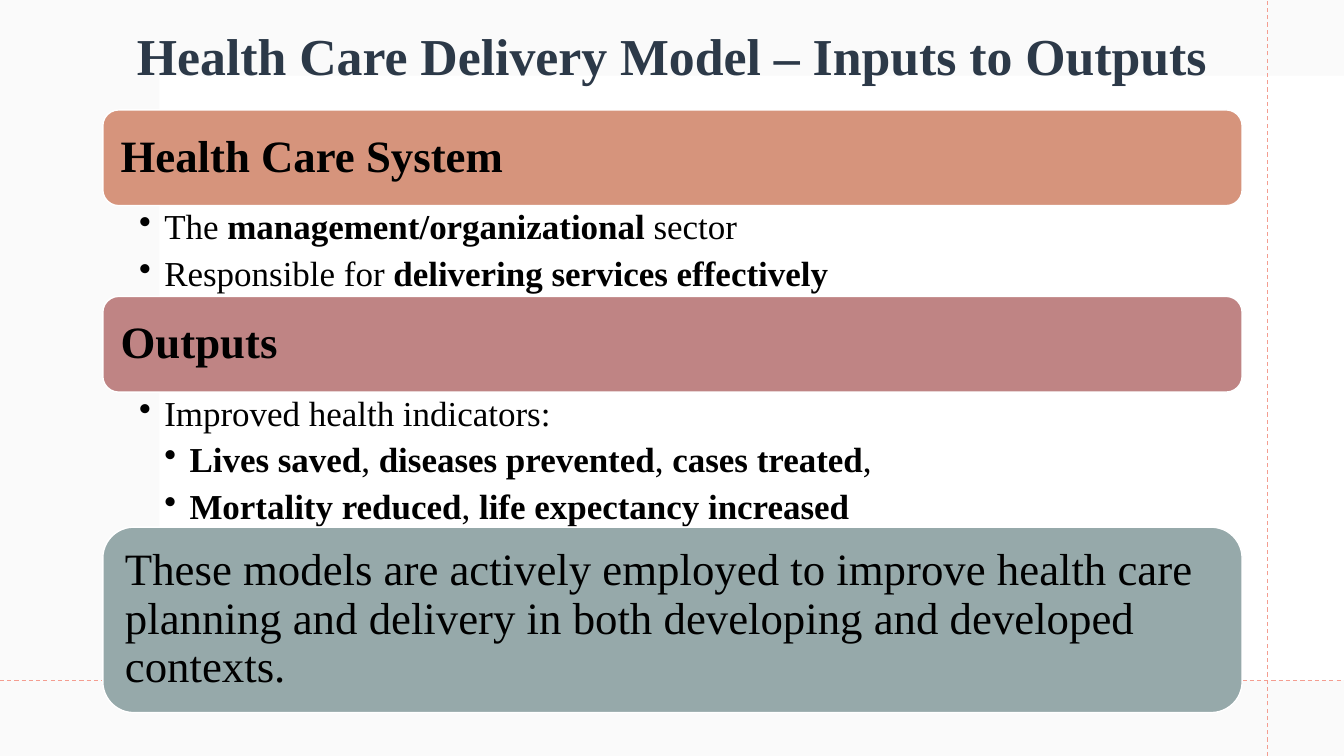
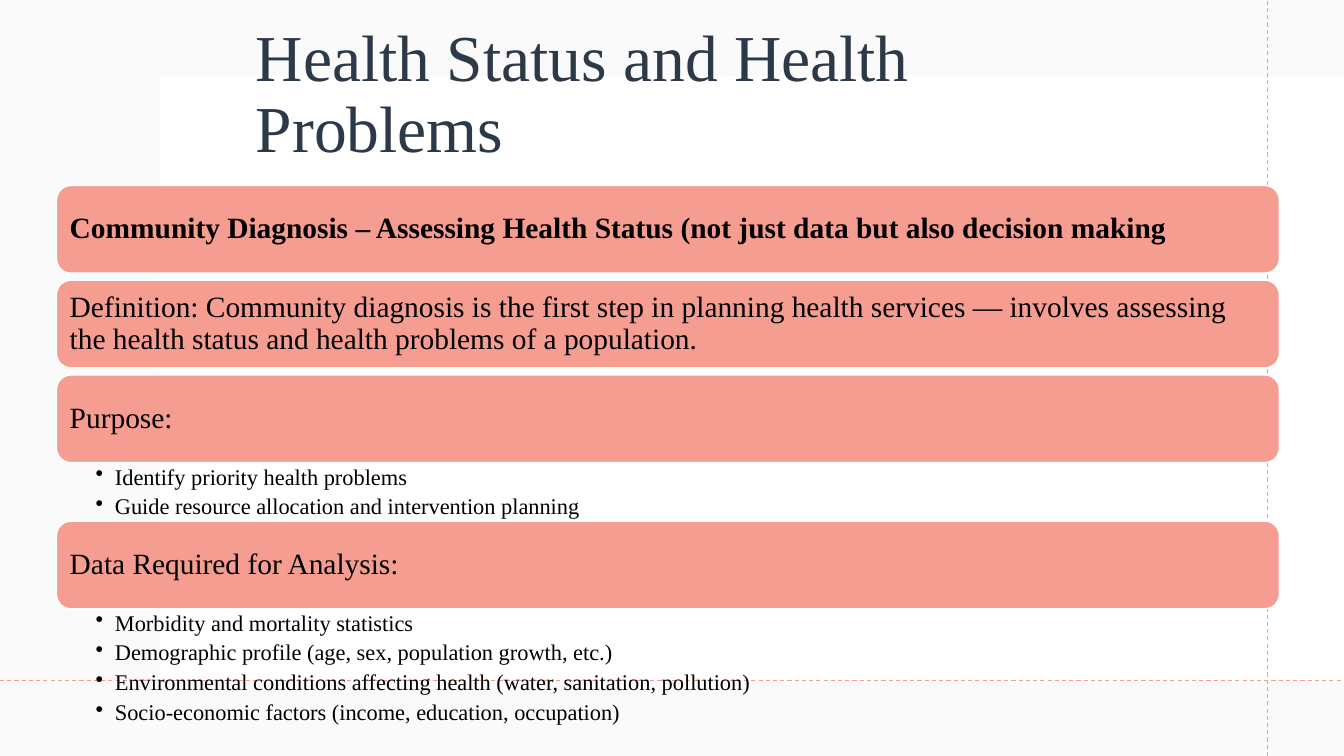
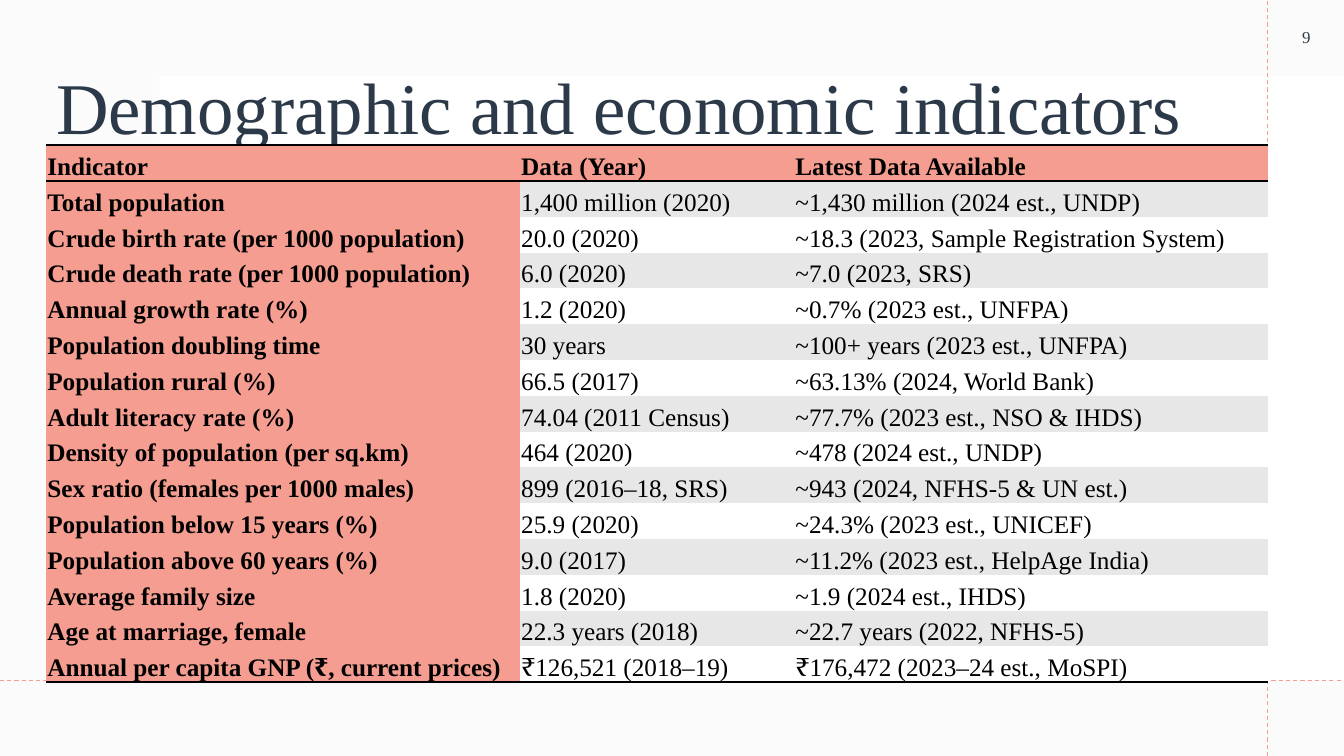
from dataclasses import dataclass
from typing import Optional

from lxml.etree import SubElement
from pptx import Presentation
from pptx.dml.color import RGBColor
from pptx.enum.dml import MSO_LINE
from pptx.enum.shapes import MSO_CONNECTOR, MSO_SHAPE
from pptx.enum.text import MSO_ANCHOR as Anchor, PP_ALIGN as Align
from pptx.oxml.ns import qn
from pptx.util import Inches, Pt

# Shared style
FONT = "Times New Roman"
COLORS = {
    "ink": "000000", "title": "2C3948", "paper": "FFFFFF", "veil": "F4F4F4",
    "coral": "F49D90", "clay": "D6947C", "rose": "BF8484", "sage": "96A9AA",
    "band": "E7E7E7",
}
WIDTH, HEIGHT = 13.33, 7.5
LINE_SPACING = 0.9
BULLET_GAP = 0.25  # share of the text size
NO_TABLE_STYLE = "{2D5ABB26-0587-4C30-8999-92F81FD0307C}"


@dataclass
class Box:
    left: float
    top: float
    width: float
    height: float

    def lengths(self) -> list:
        return [Inches(v) for v in (self.left, self.top, self.width, self.height)]


@dataclass
class Bullet:
    text: str  # *asterisks* enclose bold words
    level: int = 1


@dataclass
class Section:
    heading: str
    color: str
    height: float
    bullets: tuple = ()
    bullets_height: float = 0


@dataclass
class StackStyle:
    left: float
    top: float
    width: float
    gap: float
    heading_size: float
    heading_inset: float
    bullet_size: float
    bullet_insets: tuple
    bullet_indent: float


# Drawing helpers
def rgb(name: str) -> RGBColor:
    return RGBColor.from_string(COLORS[name])


def set_insets(frame, left: float, top: float, right: float, bottom: float) -> None:
    frame.margin_left, frame.margin_top = Inches(left), Inches(top)
    frame.margin_right, frame.margin_bottom = Inches(right), Inches(bottom)


def fill_paragraph(para, text: str, size: float, color: str = "ink") -> None:
    for index, part in enumerate(text.split("*")):
        if part:
            span = para.add_run()
            span.text = part
            span.font.name, span.font.size = FONT, Pt(size)
            span.font.bold = index % 2 == 1
            span.font.color.rgb = rgb(color)
    para.line_spacing = LINE_SPACING


def add_text(page, box: Box, text: str, size: float, align=Align.LEFT,
             anchor=Anchor.MIDDLE) -> None:
    frame = page.shapes.add_textbox(*box.lengths()).text_frame
    frame.word_wrap, frame.vertical_anchor = True, anchor
    para = frame.paragraphs[0]
    fill_paragraph(para, text, size, "title")
    para.alignment = align


def add_panel(page, box: Box, color: str, kind=MSO_SHAPE.RECTANGLE,
              opacity: Optional[int] = None):
    shape = page.shapes.add_shape(kind, *box.lengths())
    shape.shadow.inherit = False
    shape.fill.solid()
    shape.fill.fore_color.rgb = rgb(color)
    shape.line.fill.background()
    if opacity is not None:
        tint = shape._element.spPr.find(qn("a:solidFill"))[0]
        SubElement(tint, qn("a:alpha"), val=str(opacity * 1000))
    return shape


def add_guide(page, x1: float, y1: float, x2: float, y2: float) -> None:
    guide = page.shapes.add_connector(
        MSO_CONNECTOR.STRAIGHT, Inches(x1), Inches(y1), Inches(x2), Inches(y2))
    guide.line.color.rgb = rgb("coral")
    guide.line.width = Pt(0.75)
    guide.line.dash_style = MSO_LINE.DASH
    SubElement(guide._element.spPr, qn("a:effectLst"))


def new_page(deck, veil_opacity: int = 45):
    """Add a page with the shared backdrop and guide lines."""
    page = deck.slides.add_slide(deck.slide_layouts[6])
    add_panel(page, Box(0, 0, WIDTH, HEIGHT), "veil", opacity=veil_opacity)
    add_panel(page, Box(1.58, 0.75, 11.75, 6), "paper")
    add_guide(page, 12.57, HEIGHT, 12.57, 0)
    add_guide(page, 0, 6.75, WIDTH, 6.75)
    return page


def add_heading(page, box: Box, section: Section, style: StackStyle) -> None:
    card = add_panel(page, box, section.color, MSO_SHAPE.ROUNDED_RECTANGLE)
    card.line.color.rgb = rgb("paper")
    card.line.width = Pt(1)
    frame = card.text_frame
    frame.word_wrap, frame.vertical_anchor = True, Anchor.MIDDLE
    set_insets(frame, *[style.heading_inset] * 4)
    para = frame.paragraphs[0]
    fill_paragraph(para, section.heading, style.heading_size)
    para.alignment = Align.LEFT


def add_bullets(page, box: Box, bullets: tuple, style: StackStyle) -> None:
    frame = page.shapes.add_textbox(*box.lengths()).text_frame
    frame.word_wrap = True
    set_insets(frame, *style.bullet_insets)
    for index, bullet in enumerate(bullets):
        para = frame.add_paragraph() if index else frame.paragraphs[0]
        para.level = bullet.level
        props = para._p.get_or_add_pPr()
        props.set("marL", str(Inches(style.bullet_indent * bullet.level)))
        props.set("indent", str(-Inches(style.bullet_indent)))
        SubElement(props, qn("a:buChar"), char="•")
        fill_paragraph(para, bullet.text, style.bullet_size)
        para.space_after = Pt(style.bullet_size * BULLET_GAP)


def add_stack(page, sections: list, style: StackStyle) -> None:
    """Stack cards downwards, each followed by its bullets or by a gap."""
    top = style.top
    for section in sections:
        add_heading(page, Box(style.left, top, style.width, section.height), section, style)
        top += section.height
        if section.bullets:
            box = Box(style.left, top, style.width, section.bullets_height)
            add_bullets(page, box, section.bullets, style)
            top += section.bullets_height
        else:
            top += style.gap


def add_rule(cell, side: str) -> None:
    edge = SubElement(cell._tc.get_or_add_tcPr(), qn(f"a:{side}"), w=str(Pt(2)))
    fill = SubElement(edge, qn("a:solidFill"))
    SubElement(fill, qn("a:srgbClr"), val=COLORS["ink"])


def add_data_table(page, box: Box, widths: tuple, rows: list) -> None:
    table = page.shapes.add_table(len(rows), len(widths), *box.lengths()).table
    table._tbl.tblPr.find(qn("a:tableStyleId")).text = NO_TABLE_STYLE
    table.first_row = table.horz_banding = False
    for column, width in zip(table.columns, widths):
        column.width = Inches(width)
    for r, row in enumerate(rows):
        for c, text in enumerate(row):
            cell = table.cell(r, c)
            is_header = r == 0 or c == 0
            if r == 0:
                add_rule(cell, "lnT")
            if r in (0, len(rows) - 1):
                add_rule(cell, "lnB")
            cell.fill.solid()
            cell.fill.fore_color.rgb = rgb(
                "coral" if is_header else "band" if r % 2 else "paper")
            cell.vertical_anchor = Anchor.BOTTOM
            set_insets(cell, 0.01, 0.01, 0.01, 0)
            cell.text_frame.text = text
            font = cell.text_frame.paragraphs[0].runs[0].font
            font.name, font.size, font.bold = FONT, Pt(18), is_header
            font.color.rgb = rgb("ink")


# Content
MODEL_STYLE = StackStyle(1.02, 1.09, 11.3, 0, 32, 0.13, 25, (0.36, 0.04, 0.25, 0.04), 0.25)
MODEL_SECTIONS = [
    Section("*Health Care System*", "clay", 0.95, (
        Bullet("The *management/organizational* sector"),
        Bullet("Responsible for *delivering services effectively*"),
    ), 0.9),
    Section("*Outputs*", "rose", 0.95, (
        Bullet("Improved health indicators:"),
        Bullet("*Lives saved*, *diseases prevented*, *cases treated*,", 2),
        Bullet("*Mortality reduced*, *life expectancy increased*", 2),
    ), 1.34),
    Section("These models are actively employed to improve health care planning and "
            "delivery in both developing and developed contexts.", "sage", 1.84),
]

STATUS_STYLE = StackStyle(0.56, 1.84, 12.13, 0.07, 21, 0.09, 16, (0.39, 0.03, 0.16, 0.03), 0.19)
STATUS_SECTIONS = [
    Section("*Community Diagnosis – Assessing Health Status (not just data but also "
            "decision making*", "coral", 0.87),
    Section("Definition: Community diagnosis is the first step in planning health services "
            "— involves assessing the health status and health problems of a population.",
            "coral", 0.87),
    Section("Purpose:", "coral", 0.87, (
        Bullet("Identify priority health problems"),
        Bullet("Guide resource allocation and intervention planning"),
    ), 0.58),
    Section("Data Required for Analysis:", "coral", 0.87, (
        Bullet("Morbidity and mortality statistics"),
        Bullet("Demographic profile (age, sex, population growth, etc.)"),
        Bullet("Environmental conditions affecting health (water, sanitation, pollution)"),
        Bullet("Socio-economic factors (income, education, occupation)"),
    ), 1.14),
]

INDICATORS = [
    ("Indicator", "Data (Year)", "Latest Data Available"),
    ("Total population", "1,400 million (2020)", "~1,430 million (2024 est., UNDP)"),
    ("Crude birth rate (per 1000 population)", "20.0 (2020)",
     "~18.3 (2023, Sample Registration System)"),
    ("Crude death rate (per 1000 population)", "6.0 (2020)", "~7.0 (2023, SRS)"),
    ("Annual growth rate (%)", "1.2 (2020)", "~0.7% (2023 est., UNFPA)"),
    ("Population doubling time", "30 years", "~100+ years (2023 est., UNFPA)"),
    ("Population rural (%)", "66.5 (2017)", "~63.13% (2024, World Bank)"),
    ("Adult literacy rate (%)", "74.04 (2011 Census)", "~77.7% (2023 est., NSO & IHDS)"),
    ("Density of population (per sq.km)", "464 (2020)", "~478 (2024 est., UNDP)"),
    ("Sex ratio (females per 1000 males)", "899 (2016–18, SRS)",
     "~943 (2024, NFHS-5 & UN est.)"),
    ("Population below 15 years (%)", "25.9 (2020)", "~24.3% (2023 est., UNICEF)"),
    ("Population above 60 years (%)", "9.0 (2017)", "~11.2% (2023 est., HelpAge India)"),
    ("Average family size", "1.8 (2020)", "~1.9 (2024 est., IHDS)"),
    ("Age at marriage, female", "22.3 years (2018)", "~22.7 years (2022, NFHS-5)"),
    ("Annual per capita GNP (₹, current prices)", "₹126,521 (2018–19)",
     "₹176,472 (2023–24 est., MoSPI)"),
]


def main() -> None:
    deck = Presentation()
    deck.slide_width, deck.slide_height = Inches(WIDTH), Inches(HEIGHT)

    # Health care delivery model
    page = new_page(deck)
    add_text(page, Box(1.2, 0.17, 10.93, 0.82),
             "*Health Care Delivery Model – Inputs to Outputs*", 37, Align.CENTER)
    add_stack(page, MODEL_SECTIONS, MODEL_STYLE)

    # Health status
    page = new_page(deck)
    add_text(page, Box(2.44, 0.3, 8.45, 1.3), "Health Status and Health Problems", 46.8)
    add_stack(page, STATUS_SECTIONS, STATUS_STYLE)

    # Indicators
    page = new_page(deck, veil_opacity=35)
    add_text(page, Box(0.46, 0.66, 11.87, 1.9), "Demographic and economic indicators", 52,
             anchor=Anchor.TOP)
    add_text(page, Box(12.58, 0, 0.75, 0.75), "9", 12, Align.CENTER)
    add_data_table(page, Box(0.46, 1.44, 12.11, 5.33), (4.7, 2.72, 4.7), INDICATORS)

    deck.save("out.pptx")


if __name__ == "__main__":
    main()
